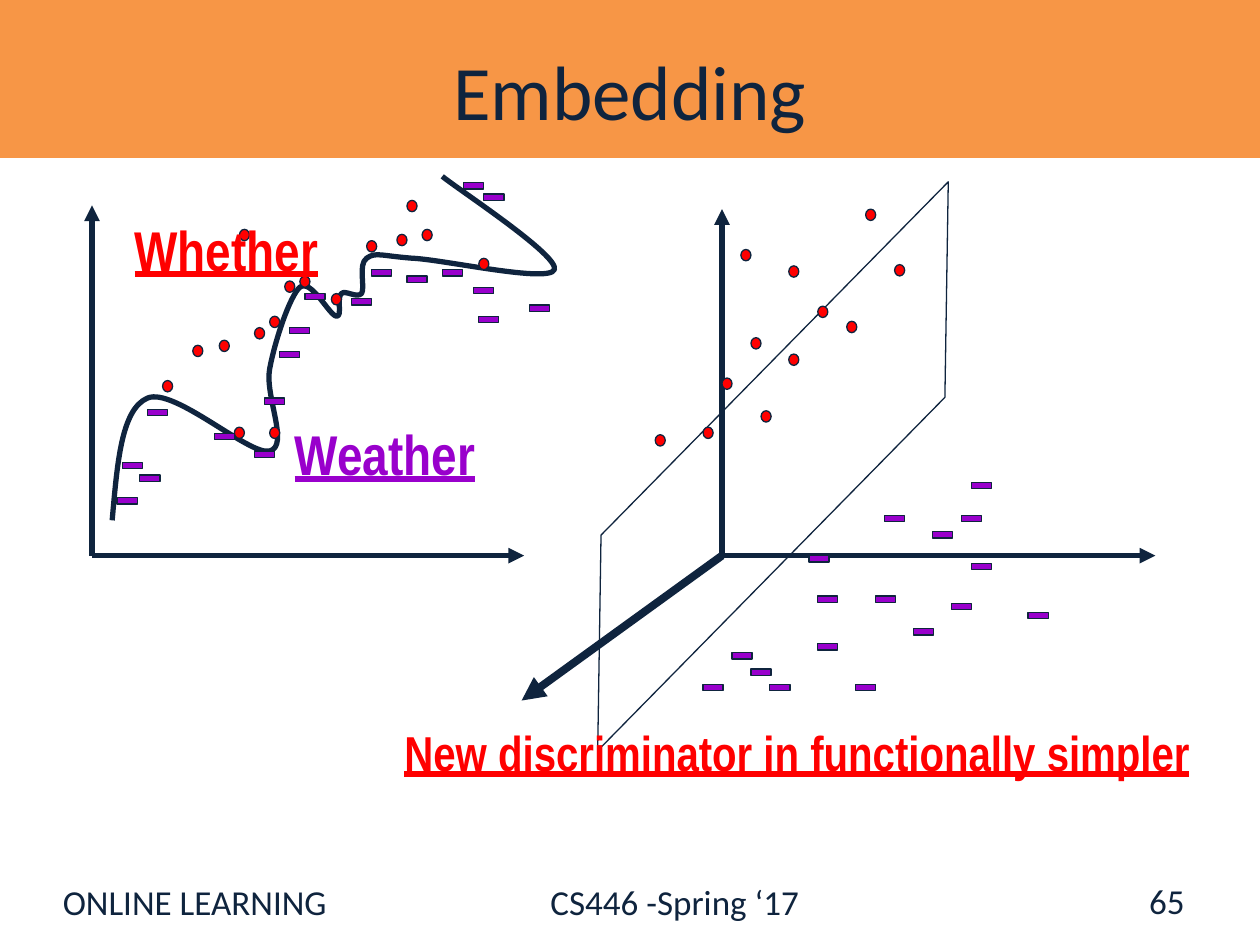
from lxml import etree
from pptx import Presentation
from pptx import util as u
from pptx.dml.color import RGBColor
from pptx.enum import shapes, text
from pptx.oxml.ns import qn

NAVY, RED, PURPLE, ORANGE, WHITE = "0F243E", "FF0000", "9900CC", "F79646", "FFFFFF"

deck = Presentation()
deck.slide_width, deck.slide_height = u.Inches(10), u.Inches(7.5)
page = deck.slides.add_slide(deck.slide_layouts[6])


def add_shape(kind, left, top, width, height, fill, line=NAVY):
    shape = page.shapes.add_shape(kind, *map(u.Inches, (left, top, width, height)))
    shape.shadow.inherit = False
    shape.fill.solid()
    shape.fill.fore_color.rgb = RGBColor.from_string(fill)
    shape.line.color.rgb = RGBColor.from_string(line)
    shape.line.width = u.Pt(0.75)
    return shape


def add_text(words, left, top, width, height, size, color=NAVY,
             align=text.PP_ALIGN.LEFT, label=False, middle=False):
    box = page.shapes.add_textbox(*map(u.Inches, (left, top, width, height)))
    frame = box.text_frame
    frame.text = words
    frame.word_wrap = not label
    if label:
        frame.auto_size = text.MSO_AUTO_SIZE.SHAPE_TO_FIT_TEXT
    frame.vertical_anchor = text.MSO_ANCHOR.MIDDLE if middle else text.MSO_ANCHOR.TOP
    para = frame.paragraphs[0]
    para.alignment = align
    for span in para.runs:
        span.font.name = "Arial Narrow" if label else "Calibri"
        span.font.size = u.Pt(size)
        span.font.color.rgb = RGBColor.from_string(color)
        if label:
            span.font.bold = span.font.underline = True
    return para


# Header band and footer
add_shape(shapes.MSO_SHAPE.RECTANGLE, 0, 0, 10, 1.25, ORANGE, ORANGE)
footer = add_text("ONLINE LEARNING\tCS446 -Spring ‘17", 0.4, 6.94, 9.6, 0.56, 20)
tabs = etree.SubElement(footer._p.get_or_add_pPr(), qn("a:tabLst"))
etree.SubElement(tabs, qn("a:tab"), pos=str(u.Inches(3.87)), algn="l")
add_text("65", 7.17, 6.95, 2.33, 0.4, 20, align=text.PP_ALIGN.RIGHT, middle=True)

# Separating plane
plane = add_shape(shapes.MSO_SHAPE.PARALLELOGRAM, 3.55, 3.11, 5.17, 1.18, WHITE)
plane.adjustments[0] = 1.05
plane.rotation = 314.5

# Axes: origin, arrow tip, line width
axes = [
    ((5.73, 4.43), (5.73, 1.66), 3),
    ((0.73, 4.41), (0.73, 1.63), 3),
    ((0.73, 4.41), (4.16, 4.41), 3),
    ((5.73, 4.41), (9.17, 4.41), 3),
    ((5.73, 4.41), (4.14, 5.56), 4.5),
]
for origin, tip, width in axes:
    axis = page.shapes.add_connector(
        shapes.MSO_CONNECTOR.STRAIGHT, *map(u.Inches, origin + tip))
    axis.line.color.rgb = RGBColor.from_string(NAVY)
    axis.line.width = u.Pt(width)
    etree.SubElement(axis.line._get_or_add_ln(), qn("a:tailEnd"), type="triangle")
    etree.SubElement(axis._element.spPr, qn("a:effectLst"))

# Winding boundary: each Bezier segment is two control points and an end point
start = (0.89, 4.13)
segments = [
    ((0.93, 3.69), (0.96, 3.25), (1.17, 3.16)),
    ((1.38, 3.07), (1.98, 3.62), (2.14, 3.58)),
    ((2.30, 3.54), (2.10, 3.14), (2.14, 2.93)),
    ((2.18, 2.71), (2.30, 2.35), (2.38, 2.28)),
    ((2.47, 2.21), (2.61, 2.50), (2.67, 2.51)),
    ((2.72, 2.52), (2.67, 2.36), (2.71, 2.33)),
    ((2.74, 2.30), (2.83, 2.37), (2.87, 2.33)),
    ((2.90, 2.28), (2.84, 2.10), (2.91, 2.05)),
    ((2.98, 2.00), (3.02, 2.03), (3.27, 2.05)),
    ((3.52, 2.06), (4.36, 2.25), (4.40, 2.14)),
    ((4.44, 2.03), (3.66, 1.52), (3.51, 1.40)),
]
builder = page.shapes.build_freeform(*map(u.Inches, start))
builder.add_line_segments(
    [tuple(map(u.Inches, segment[-1])) for segment in segments], close=False)
boundary = builder.convert_to_shape()
boundary.shadow.inherit = False
boundary.fill.background()
boundary.line.color.rgb = RGBColor.from_string(NAVY)
boundary.line.width = u.Pt(3)

# Bend the straight segments into cubic curves
straights = list(boundary._element.iter(qn("a:lnTo")))
for straight, segment in zip(straights, segments):
    bend = etree.Element(qn("a:cubicBezTo"))
    for x, y in segment:
        etree.SubElement(bend, qn("a:pt"), x=str(u.Inches(x) - boundary.left),
                         y=str(u.Inches(y) - boundary.top))
    straight.getparent().replace(straight, bend)

# Left and right sample points: red dots and purple dashes
left_dots = [
    (1.86, 3.39), (2.14, 2.51), (1.9, 1.82), (2.02, 2.6), (2.26, 2.23), (2.14, 3.39),
    (2.63, 2.33), (2.38, 2.19), (1.74, 2.7), (1.53, 2.74), (1.29, 3.02), (3.23, 1.59),
    (3.8, 2.05), (3.15, 1.86), (2.91, 1.91), (3.35, 1.82),
]
left_dashes = [
    (2.3, 2.6), (0.97, 3.67), (3.51, 2.14), (2.1, 3.16), (2.95, 2.14), (2.42, 2.33),
    (1.7, 3.44), (3.23, 2.19), (3.84, 1.54), (2.79, 2.37), (3.68, 1.45), (2.22, 2.79),
    (1.17, 3.25), (3.8, 2.51), (3.76, 2.28), (2.02, 3.58), (4.2, 2.42), (0.93, 3.95),
    (1.11, 3.77),
]
right_dots = [
    (5.88, 1.98), (6.87, 1.66), (6.26, 2.11), (7.1, 2.1), (6.49, 2.43), (5.96, 2.68),
    (6.72, 2.55), (5.2, 3.45), (6.26, 2.81), (5.73, 3), (5.58, 3.39), (6.04, 3.26),
]
right_dashes = [
    (7.4, 4.22), (7.63, 4.09), (7.71, 4.47), (6.42, 4.41), (7.02, 4.09), (8.16, 4.86),
    (6.95, 4.73), (7.71, 3.83), (7.25, 4.99), (6.49, 5.11), (7.55, 4.79), (6.49, 4.73),
    (6.79, 5.43), (5.58, 5.43), (5.81, 5.18), (5.96, 5.31), (6.11, 5.43),
]
for dots, dashes in ((left_dots, left_dashes), (right_dots, right_dashes)):
    for left, top in dots:
        add_shape(shapes.MSO_SHAPE.OVAL, left, top, 0.08, 0.09, RED)
    for left, top in dashes:
        add_shape(shapes.MSO_SHAPE.RECTANGLE, left, top, 0.16, 0.05, PURPLE)

# Labels and title
add_text("Weather", 2.24, 3.28, 1.64, 0.63, 32, PURPLE, label=True)
add_text("Whether", 0.97, 1.66, 1.66, 0.63, 32, RED, label=True)
add_text("New discriminator in functionally simpler", 3.11, 5.68, 6.43, 0.57, 28, RED,
         align=text.PP_ALIGN.CENTER, label=True, middle=True)
add_text("Embedding", 0.5, 0.3, 9, 1.25, 44, align=text.PP_ALIGN.CENTER)

deck.save("out.pptx")
